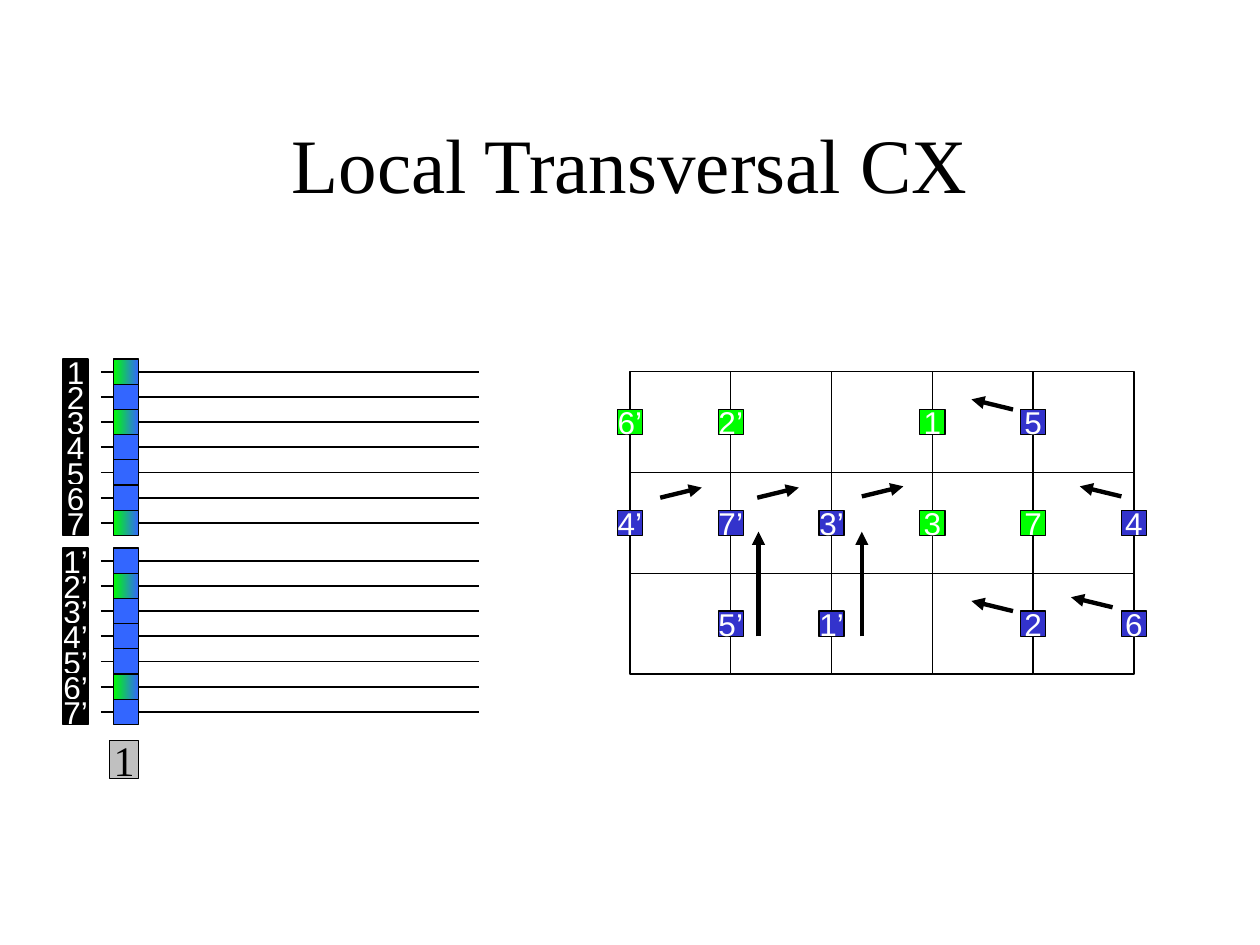
from dataclasses import dataclass

from lxml import etree
from pptx import Presentation
from pptx.dml.color import RGBColor
from pptx.enum import shapes, text
from pptx.oxml import ns
from pptx.util import Pt

SCALE = 9144  # EMU per px, 100 px to the inch


@dataclass(frozen=True)
class Theme:
    black: str = "000000"
    white: str = "FFFFFF"
    green: str = "00FF00"
    indigo: str = "3333CC"
    blue: str = "3366FF"
    grey: str = "C0C0C0"
    serif: str = "Times New Roman"
    sans: str = "Arial"
    title_size: int = 44
    step_size: int = 24
    label_size: int = 18
    outline: float = 0.75
    wire: float = 1
    arrow: float = 2.5


THEME = Theme()

QUBIT = 20  # side of a qubit square
CELL = 80  # side of a board cell
BOARD_LEFT, BOARD_TOP, COLUMNS, ROWS = 500, 295, 5, 3

# Qubits on the board: label -> (column line, row)
BOARD_QUBITS = {
    "6’": (0, 0), "2’": (1, 0), "1": (3, 0), "5": (4, 0),
    "4": (5, 1), "7": (4, 1), "3": (3, 1), "3’": (2, 1), "7’": (1, 1), "4’": (0, 1),
    "5’": (1, 2), "1’": (2, 2), "2": (4, 2), "6": (5, 2),
}
PLUS_QUBITS = {"1", "3", "7", "2’", "6’"}

# Moves: shift (dx, dy) -> tail points
MOVES = {
    (33, -8): [(524, 395), (601, 395), (684, 394)],
    (0, -83): [(602, 505), (684, 505)],
    (-33, -8): [(890, 394), (804, 325), (804, 485), (883, 482)],
}

# Circuit registers: (centre of first wire, label suffix)
REGISTERS = [(295, ""), (445, "’")]


def px(*lengths):
    return [length * SCALE for length in lengths]


def color(value):
    return RGBColor.from_string(value)


def apply(target, values):
    for name, value in values.items():
        setattr(target, name, value)


def write(shape, words, font, size, ink):
    frame = shape.text_frame
    apply(frame, {"vertical_anchor": text.MSO_ANCHOR.MIDDLE,
                  "auto_size": text.MSO_AUTO_SIZE.NONE})
    para = frame.paragraphs[0]
    para.alignment = text.PP_ALIGN.CENTER
    span = para.add_run()
    span.text = words
    apply(span.font, {"name": font, "size": Pt(size)})
    span.font.color.rgb = color(ink)


def add_square(page, left, top, width, height, fill=None):
    square = page.shapes.add_shape(shapes.MSO_SHAPE.RECTANGLE, *px(left, top, width, height))
    square.shadow.inherit = False
    square.line.color.rgb = color(THEME.black)
    square.line.width = Pt(THEME.outline)
    if fill:
        square.fill.solid()
        square.fill.fore_color.rgb = color(fill)
    else:
        square.fill.background()
    return square


def add_label(page, box, words, fill, font=THEME.sans, size=THEME.label_size, ink=THEME.white):
    square = add_square(page, *box, fill)
    write(square, words, font, size, ink)
    square.text_frame.word_wrap = False


def add_blend(page, *box):
    fill = add_square(page, *box).fill
    fill.gradient()
    fill.gradient_angle = 180
    for stop, value in zip(fill.gradient_stops, (THEME.blue, THEME.green)):
        stop.color.rgb = color(value)


def add_line(page, start, end, width, arrow=False):
    line = page.shapes.add_connector(shapes.MSO_CONNECTOR.STRAIGHT, *px(*start, *end))
    line.line.color.rgb = color(THEME.black)
    line.line.width = Pt(width)
    if arrow:
        etree.SubElement(line.line._get_or_add_ln(), ns.qn("a:tailEnd"), type="triangle")
    etree.SubElement(line._element.spPr, ns.qn("a:effectLst"))


def add_title(page, words):
    title = page.shapes.title
    apply(title, dict(zip(("left", "top", "width", "height"), px(75, 67, 850, 125))))
    write(title, words, THEME.serif, THEME.title_size, THEME.black)


def add_board(page):
    # Grid
    for column in range(COLUMNS):
        for row in range(ROWS):
            add_square(page, BOARD_LEFT + column * CELL, BOARD_TOP + row * CELL, CELL, CELL)
    # Qubits, centred on the cell sides
    for words, (column, row) in BOARD_QUBITS.items():
        left = BOARD_LEFT + column * CELL - QUBIT // 2
        top = BOARD_TOP + row * CELL + (CELL - QUBIT) // 2
        fill = THEME.green if words in PLUS_QUBITS else THEME.indigo
        add_label(page, (left, top, QUBIT, QUBIT), words, fill)
    # Moves
    for (dx, dy), tails in MOVES.items():
        for x, y in tails:
            add_line(page, (x, y), (x + dx, y + dy), THEME.arrow, arrow=True)


def add_circuit(page):
    wires = [(f"{number + 1}{suffix}", first + number * QUBIT)
             for first, suffix in REGISTERS for number in range(7)]
    # Wires
    for _, y in wires:
        add_line(page, (80, y), (380, y), THEME.wire)
    # Labels and first-step states
    for words, y in wires:
        top = y - QUBIT // 2
        add_label(page, (50, top, QUBIT, QUBIT), words, THEME.black)
        if words in PLUS_QUBITS:
            add_blend(page, 90, top, QUBIT, QUBIT)
        else:
            add_square(page, 90, top, QUBIT, QUBIT, THEME.blue)
    # Step number
    add_label(page, (87, 588, 23, 30), "1", THEME.grey,
              THEME.serif, THEME.step_size, THEME.black)


def main():
    deck = Presentation()
    deck.slide_width, deck.slide_height = px(1000, 750)
    page = deck.slides.add_slide(deck.slide_layouts[5])
    add_title(page, "Local Transversal CX")
    add_board(page)
    add_circuit(page)
    deck.save("out.pptx")


if __name__ == "__main__":
    main()
